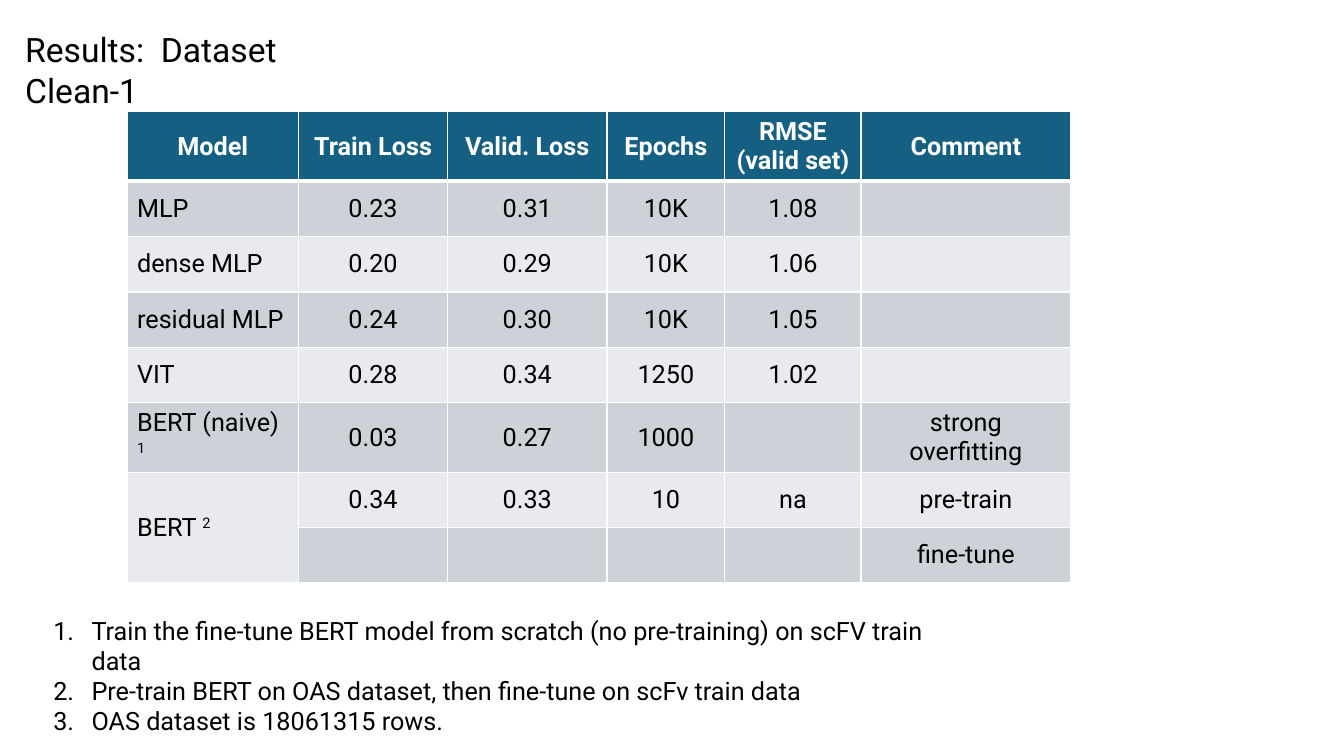
"""Build the results slide: a table of model scores with numbered notes."""
from lxml.etree import SubElement
from pptx import Presentation
from pptx.dml.color import RGBColor
from pptx.enum.text import MSO_ANCHOR, MSO_AUTO_SIZE, PP_ALIGN
from pptx.oxml.ns import qn
from pptx.util import Inches, Pt

TITLE = "Results:  Dataset Clean-1"
HEADER = ["Model", "Train Loss", "Valid. Loss", "Epochs", "RMSE\n(valid set)", "Comment"]
MODELS = [
    ["MLP", "0.23", "0.31", "10K", "1.08", ""],
    ["dense MLP", "0.20", "0.29", "10K", "1.06", ""],
    ["residual MLP", "0.24", "0.30", "10K", "1.05", ""],
    ["VIT", "0.28", "0.34", "1250", "1.02", ""],
    ["BERT (naive) ^1", "0.03", "0.27", "1000", "", "strong overfitting"],
    ["BERT ^2", "0.34", "0.33", "10", "na", "pre-train"],
    ["", "", "", "", "", "fine-tune"],
]
NOTES = [
    "Train the fine-tune BERT model from scratch (no pre-training) on scFV train data",
    "Pre-train BERT on OAS dataset, then fine-tune on scFv train data",
    "OAS dataset is 18061315 rows.",
]
COLUMN_WIDTHS = [1.7, 1.48, 1.58, 1.17, 1.35, 2.08]
ROW_HEIGHT = 0.55
NOTE_INDENT = 0.38
BLACK, WHITE, HEADER_FILL = "000000", "FFFFFF", "156082"
BAND_FILLS = ["E8EAED", "CCD2D8"]
BODY_FORMAT = {"name": "Roboto", "size": Pt(18), "bold": False}
HEADER_FORMAT = BODY_FORMAT | {"bold": True}
TITLE_FORMAT = BODY_FORMAT | {"size": Pt(24)}
FRAME_FORMAT = {"word_wrap": True, "auto_size": MSO_AUTO_SIZE.NONE,
                "vertical_anchor": MSO_ANCHOR.TOP}


def set_all(target, values):
    for name, value in values.items():
        setattr(target, name, value)


def paint(color_format, value):
    color_format.rgb = RGBColor.from_string(value)


def add_span(para, text, font_format, color):
    span = para.add_run()
    span.text = text
    set_all(span.font, font_format)
    paint(span.font.color, color)
    return span


def add_borders(cell, widths):
    properties = cell._tc.get_or_add_tcPr()
    for side, width in widths.items():
        line = SubElement(properties, qn(f"a:ln{side}"), w=str(Pt(width)))
        fill = SubElement(line, qn("a:solidFill"))
        SubElement(fill, qn("a:srgbClr"), val=WHITE)


def fill_cell(cell, text, row, column):
    is_header = row == 0
    add_borders(cell, {"L": 1, "R": 1, "T": 3 if row == 1 else 1, "B": 3 if is_header else 1})
    cell.fill.solid()
    paint(cell.fill.fore_color, HEADER_FILL if is_header else BAND_FILLS[row % 2])
    cell.vertical_anchor = MSO_ANCHOR.MIDDLE
    font_format, color = (HEADER_FORMAT, WHITE) if is_header else (BODY_FORMAT, BLACK)
    for index, line in enumerate(text.split("\n") if text else []):
        para = cell.text_frame.add_paragraph() if index else cell.text_frame.paragraphs[0]
        para.alignment = PP_ALIGN.CENTER if is_header or column else PP_ALIGN.LEFT
        words, _, mark = line.partition("^")
        add_span(para, words, font_format, color)
        if mark:
            span = add_span(para, mark, font_format, color)
            span._r.get_or_add_rPr().set("baseline", "30000")


def add_title(page):
    title = page.shapes.title
    set_all(title, {"left": Inches(0.15), "top": Inches(0.24),
                    "width": Inches(3.75), "height": Inches(0.5)})
    set_all(title.text_frame, FRAME_FORMAT)
    para = title.text_frame.paragraphs[0]
    para.alignment = PP_ALIGN.LEFT
    add_span(para, TITLE, TITLE_FORMAT, BLACK)


def add_scores(page):
    rows = [HEADER] + MODELS
    table = page.shapes.add_table(
        len(rows), len(HEADER), Inches(1.26), Inches(1.11),
        Inches(sum(COLUMN_WIDTHS)), Inches(ROW_HEIGHT * len(rows))).table
    for column, width in zip(table.columns, COLUMN_WIDTHS):
        column.width = Inches(width)
    for row, texts in enumerate(rows):
        table.rows[row].height = Inches(ROW_HEIGHT)
        for column, text in enumerate(texts):
            fill_cell(table.cell(row, column), text, row, column)
    last = len(rows) - 1
    table.cell(last - 1, 0).merge(table.cell(last, 0))


def add_notes(page):
    box = page.shapes.add_textbox(Inches(0.43), Inches(6.05), Inches(9.11), Inches(1.01))
    set_all(box.text_frame, FRAME_FORMAT)
    for index, note in enumerate(NOTES):
        para = box.text_frame.add_paragraph() if index else box.text_frame.paragraphs[0]
        properties = para._p.get_or_add_pPr()
        properties.set("marL", str(Inches(NOTE_INDENT)))
        properties.set("indent", str(-Inches(NOTE_INDENT)))
        SubElement(properties, qn("a:buFont"), typeface="Roboto")
        SubElement(properties, qn("a:buAutoNum"), type="arabicPeriod")
        add_span(para, note, BODY_FORMAT, BLACK)


def main():
    deck = Presentation()
    set_all(deck, {"slide_width": Inches(13.33), "slide_height": Inches(7.5)})
    page = deck.slides.add_slide(deck.slide_layouts[5])
    add_title(page)
    add_scores(page)
    add_notes(page)
    deck.save("out.pptx")


if __name__ == "__main__":
    main()
